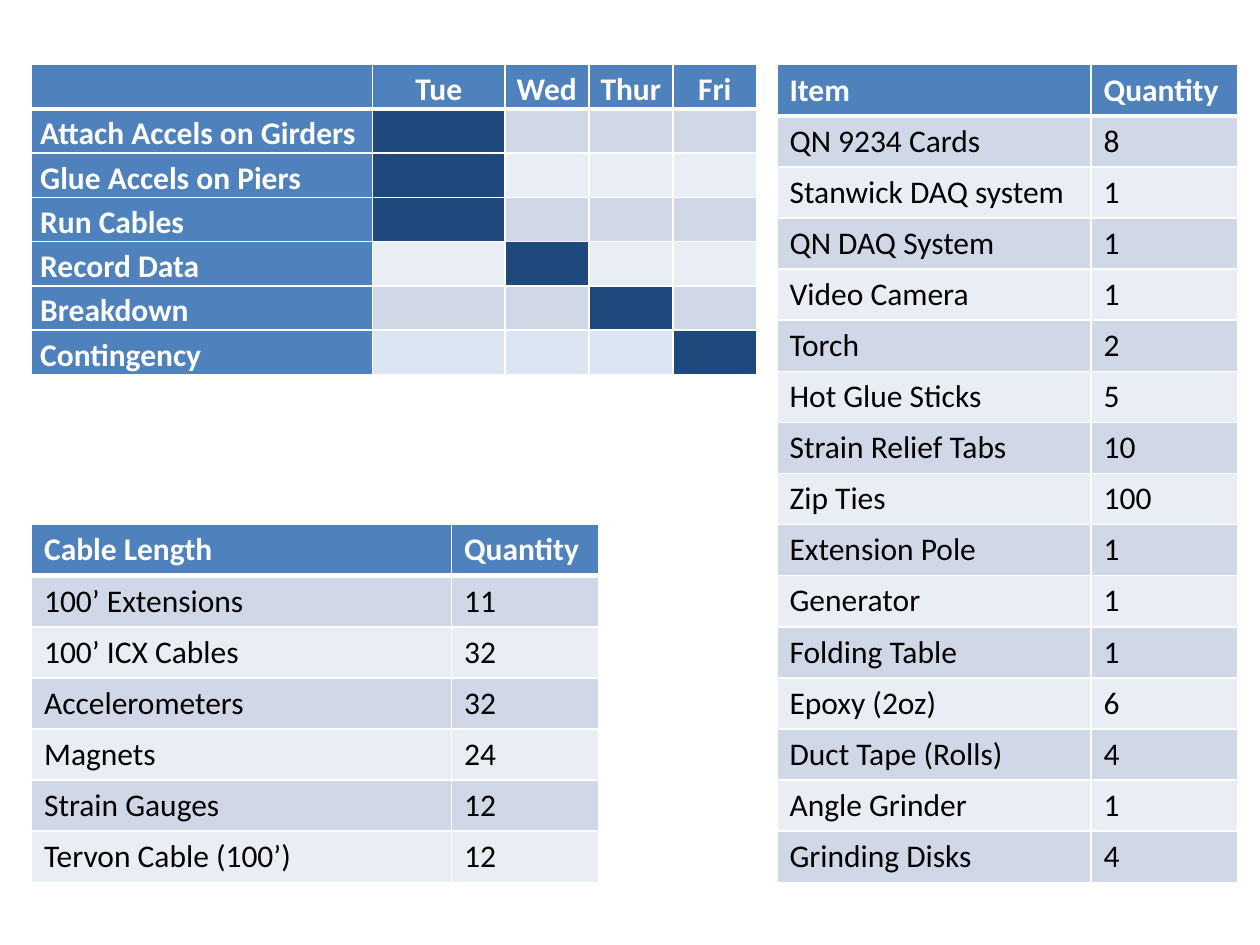
from lxml.etree import SubElement
from pptx import Presentation
from pptx.dml.color import RGBColor
from pptx.enum.text import MSO_ANCHOR, PP_ALIGN
from pptx.oxml.ns import qn
from pptx.util import Pt

WHITE = RGBColor(0xFF, 0xFF, 0xFF)
BLACK = RGBColor(0x00, 0x00, 0x00)
BLUE = RGBColor(0x4F, 0x81, 0xBD)
NAVY = RGBColor(0x1F, 0x49, 0x7D)
PALE_BLUE = RGBColor(0xDC, 0xE6, 0xF2)
BANDS = [RGBColor(0xD0, 0xD8, 0xE8), RGBColor(0xE9, 0xED, 0xF4)]

CABLES = [
    ("Cable Length", "Quantity"),
    ("100’ Extensions", "11"),
    ("100’ ICX Cables", "32"),
    ("Accelerometers", "32"),
    ("Magnets", "24"),
    ("Strain Gauges", "12"),
    ("Tervon Cable (100’)", "12"),
]
ITEMS = [
    ("Item", "Quantity"),
    ("QN 9234 Cards", "8"),
    ("Stanwick DAQ system", "1"),
    ("QN DAQ System", "1"),
    ("Video Camera", "1"),
    ("Torch", "2"),
    ("Hot Glue Sticks", "5"),
    ("Strain Relief Tabs", "10"),
    ("Zip Ties", "100"),
    ("Extension Pole", "1"),
    ("Generator", "1"),
    ("Folding Table", "1"),
    ("Epoxy (2oz)", "6"),
    ("Duct Tape (Rolls)", "4"),
    ("Angle Grinder", "1"),
    ("Grinding Disks", "4"),
]
DAYS = ["Tue", "Wed", "Thur", "Fri"]
TASKS = [
    ("Attach Accels on Girders", "Tue"),
    ("Glue Accels on Piers", "Tue"),
    ("Run Cables", "Tue"),
    ("Record Data", "Wed"),
    ("Breakdown", "Thur"),
    ("Contingency", "Fri"),
]

LEFT, TOP = 18, 37
LIST_ROW, SCHEDULE_ROW = 29.2, 25.2


def write_text(cell, text, color=BLACK, bold=False, align=PP_ALIGN.LEFT, spacing=None):
    para = cell.text_frame.paragraphs[0]
    para.alignment = align
    para.line_spacing = spacing
    span = para.add_run()
    span.text = text
    span.font.name = "Calibri"
    span.font.size = Pt(18)
    span.font.bold = bold
    span.font.color.rgb = color


def draw_borders(cell, top, bottom):
    properties = cell._tc.get_or_add_tcPr()
    widths = {"a:lnL": 1, "a:lnR": 1, "a:lnT": top, "a:lnB": bottom}
    for position, (side, width) in enumerate(widths.items()):
        line = SubElement(properties, qn(side), w=str(Pt(width)))
        SubElement(SubElement(line, qn("a:solidFill")), qn("a:srgbClr"), val=str(WHITE))
        properties.insert(position, line)


def add_grid(page, left, top, widths, row_height, row_count):
    frame = page.shapes.add_table(
        row_count, len(widths), Pt(left), Pt(top), Pt(sum(widths)), Pt(row_height * row_count)
    )
    table = frame.table
    for column, width in zip(table.columns, widths):
        column.width = Pt(width)
    for row_index, row in enumerate(table.rows):
        row.height = Pt(row_height)
        for cell in row.cells:
            cell.fill.solid()
            cell.fill.fore_color.rgb = BANDS[(row_index - 1) % 2] if row_index else BLUE
            draw_borders(cell, 3 if row_index == 1 else 1, 1 if row_index else 3)
    return table


def add_list(page, rows, left, top, widths):
    table = add_grid(page, left, top, widths, LIST_ROW, len(rows))
    for row_index, row in enumerate(rows):
        header = row_index == 0
        for column_index, text in enumerate(row):
            write_text(table.cell(row_index, column_index), text,
                       color=WHITE if header else BLACK, bold=header)


def add_schedule(page, left, top, widths):
    table = add_grid(page, left, top, widths, SCHEDULE_ROW, len(TASKS) + 1)
    for cell in table.iter_cells():
        cell.margin_left = cell.margin_right = Pt(5)
        cell.margin_top = cell.margin_bottom = 0
        cell.vertical_anchor = MSO_ANCHOR.BOTTOM
    for column_index, day in enumerate(DAYS, 1):
        write_text(table.cell(0, column_index), day, color=WHITE, bold=True,
                   align=PP_ALIGN.CENTER, spacing=1.15)
    for row_index, (task, busy_day) in enumerate(TASKS, 1):
        label = table.cell(row_index, 0)
        label.fill.fore_color.rgb = BLUE
        write_text(label, task, color=WHITE, bold=True, spacing=1.15)
        for column_index, day in enumerate(DAYS, 1):
            color = table.cell(row_index, column_index).fill.fore_color
            if day == busy_day:
                color.rgb = NAVY
            elif task == "Contingency":
                color.rgb = PALE_BLUE


def main():
    deck = Presentation()
    deck.slide_width, deck.slide_height = Pt(720), Pt(540)
    page = deck.slides.add_slide(deck.slide_layouts[6])
    add_list(page, CABLES, LEFT, 299.8, [240, 84])
    add_list(page, ITEMS, 444, TOP, [179.5, 84])
    add_schedule(page, LEFT, TOP, [195, 75.5, 48, 48, 48])
    deck.save("out.pptx")


if __name__ == "__main__":
    main()
